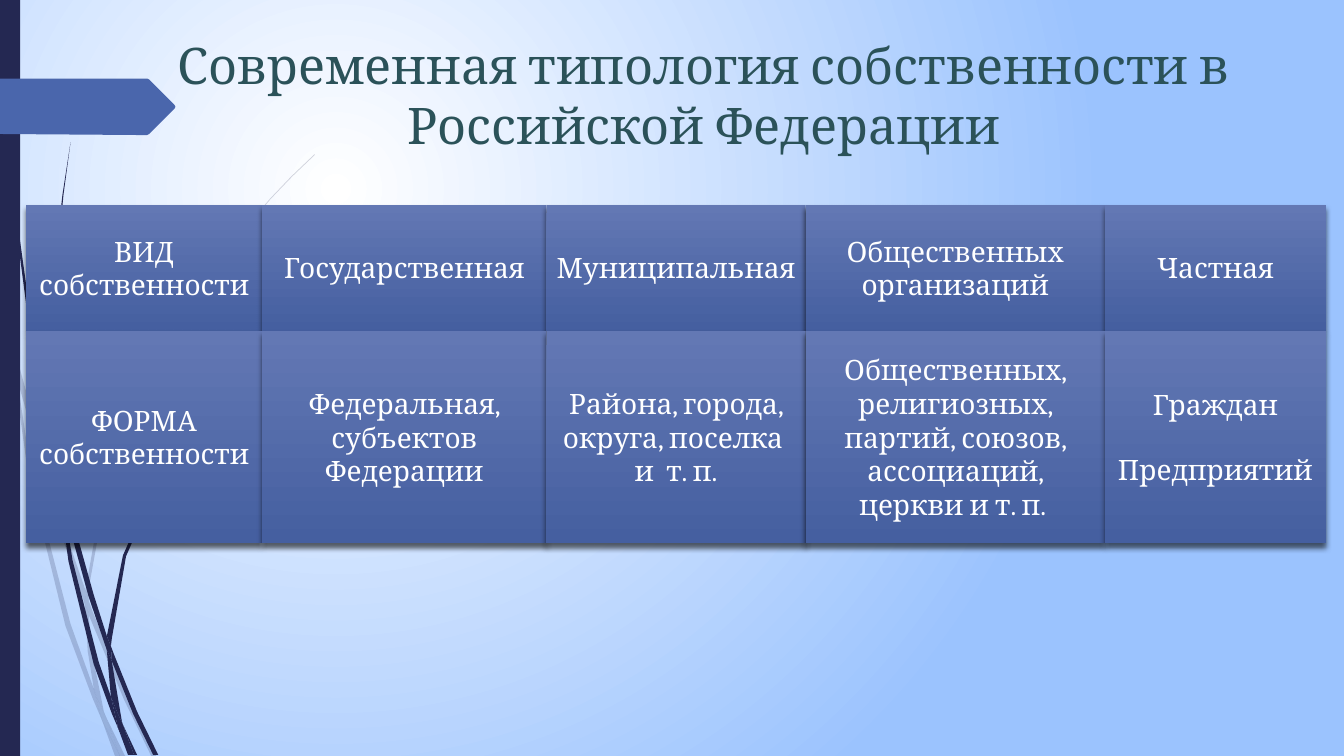
import itertools
from dataclasses import dataclass

import pptx
import pptx.dml.color
import pptx.enum.shapes
import pptx.enum.text
import pptx.oxml
import pptx.oxml.ns
import pptx.util

Inches = pptx.util.Inches
Pt = pptx.util.Pt
RGB = pptx.dml.color.RGBColor.from_string
qn = pptx.oxml.ns.qn
NS = pptx.oxml.ns.nsdecls("a")


@dataclass(frozen=True)
class Theme:
    font: str = "Cambria"
    navy: str = "242852"
    blue: str = "4A66AC"
    teal: str = "2B5259"
    white: str = "FFFFFF"
    sky: str = "9BC3FE"
    light: str = "6378B4"
    deep: str = "455FA0"
    head: int = 36
    body: int = 20
    gap: int = 22


@dataclass(frozen=True)
class Strand:
    coords: tuple[float, ...]


@dataclass(frozen=True)
class Row:
    top: float
    height: float
    cells: tuple[tuple[str, ...], ...]
    gaps: tuple[int, ...]


T = Theme()

FAINT = (
    Strand((.11, 3.5, .09, 3.22, 0, 2.82, 0, 2.99, .1, 3.44)),
    Strand((.58, 5.22, .84, 5.99, .85, 5.86, .62, 5.2, .14, 3.45, .17, 3.76)),
    Strand((.92, 6.07, .88, 5.96, .88, 6.1, 1.23, 6.94, 1.5, 7.5, 1.55, 7.5, 1.27, 6.92)),
    Strand((1.19, 7.5, 1.24, 7.5, 1.05, 7.11)),
    Strand((.93, 6.83, .7, 6.19, .31, 4.69, .17, 3.76, .11, 3.5, .28, 4.7, .65, 6.21,
            .92, 6.93, 1.01, 7.14, .99, 7.07)),
    Strand((.84, 5.99, .87, 6.46, .93, 6.83, .96, 6.92, 1.05, 7.11, 1.03, 7.06, .91, 6.46,
            .88, 6.1, .88, 6.08)),
    Strand((.88, 5.84, 1.1, 4.62, 1.6, 3.49, 2.29, 2.45, 2.68, 1.98, 2.9, 1.75, 3.12, 1.54,
            3.12, 1.53, 2.89, 1.75, 2.68, 1.97, 2.28, 2.44, 1.58, 3.48, 1.07, 4.61,
            .85, 5.84, .85, 5.86, .88, 5.96)),
    Strand((1.01, 7.14, 1.14, 7.5, 1.19, 7.5)),
    Strand((.88, 6.08, .88, 5.96, .85, 5.86, .84, 5.99)),
    Strand((.96, 6.92, .93, 6.83, .99, 7.07, 1.01, 7.14, 1.19, 7.5, 1.05, 7.11)),
)
DARK = (
    Strand((.07, 1.1, .17, 2.33, .33, 3.55, .56, 4.77, .57, 4.81, .55, 4.57, .55, 4.53,
            .36, 3.55, .19, 2.32, .08, 1.09, .05, .48, .04, 0, .03, 0, .04, .48)),
    Strand((.88, 5.92, 1.06, 6.45, 1.06, 6.31, .93, 5.9, .6, 4.72, .64, 5.05)),
    Strand((1.13, 6.49, 1.1, 6.41, 1.11, 6.56, 1.32, 7.08, 1.52, 7.49, 1.57, 7.49, 1.36, 7.06)),
    Strand((1.1, 6.91, .98, 6.57, .72, 5.56, .64, 5.05, .57, 4.77, .68, 5.57, .93, 6.59,
            1.11, 7.08, 1.17, 7.22, 1.16, 7.17)),
    Strand((.6, 4.72, .58, 4.53, .54, 3.49, .58, 2.45, .63, 1.93, .7, 1.41, .62, 1.93,
            .56, 2.45, .52, 3.49, .55, 4.49)),
    Strand((1.33, 7.49, 1.36, 7.49, 1.22, 7.19)),
    Strand((.57, 4.77, .64, 5.05, .6, 4.72, .55, 4.49, .55, 4.53)),
    Strand((1.11, 6.33, 1.25, 5.52, 1.58, 4.76, 2.05, 4.06, 2.31, 3.74, 2.45, 3.59,
            2.61, 3.44, 2.6, 3.44, 2.45, 3.58, 2.31, 3.73, 2.04, 4.05, 1.56, 4.74,
            1.22, 5.51, 1.06, 6.31, 1.1, 6.41)),
    Strand((1.17, 7.22, 1.27, 7.49, 1.31, 7.49)),
    Strand((1.06, 6.45, 1.1, 6.91, 1.16, 7.06, 1.22, 7.19, 1.21, 7.16, 1.11, 6.56, 1.09, 6.51)),
    Strand((1.06, 6.45, 1.09, 6.51, 1.11, 6.56, 1.1, 6.41, 1.06, 6.31)),
    Strand((1.16, 7.06, 1.1, 6.91, 1.16, 7.17, 1.17, 7.22, 1.3, 7.49, 1.33, 7.49, 1.22, 7.19)),
)
ARROW = Strand((1.73, 1.08, 1.48, 1.33, 1.46, 1.34, 1.36, 1.34, 0, 1.33, 0, .78, 1.36, .78,
                1.46, .78, 1.48, .79, 1.73, 1.04, 1.74, 1.06))

EDGES = (.26, 2.6, 5.42, 7.99, 10.96, 13.15)
ROWS = (
    Row(2.03, 1.25, (("ВИД собственности",), ("Государственная",), ("Муниципальная",),
                     ("Общественных организаций",), ("Частная",)), (0,) * 5),
    Row(3.28, 2.11, (("ФОРМА собственности",), ("Федеральная, субъектов Федерации",),
                     ("Района, города, округа, поселка ", "и  т. п."),
                     ("Общественных, религиозных, партий, союзов, ассоциаций, церкви и т. п. ",),
                     ("Граждан", "Предприятий")), (0, 0, 0, 0, T.gap)),
)


def paint(shape, tone: str, alpha: int = 100) -> None:
    shape.fill.solid()
    shape.fill.fore_color.rgb = RGB(tone)
    shape.line.fill.background()
    shape.shadow.inherit = False
    if alpha < 100:
        tag = shape._element.spPr.find(".//" + qn("a:srgbClr"))
        tag.append(pptx.oxml.parse_xml(f'<a:alpha {NS} val="{alpha * 1000}"/>'))


def blend(fill, first: str, last: str) -> None:
    fill.gradient()
    for stop, tone in zip(fill.gradient_stops, (first, last)):
        stop.color.rgb = RGB(tone)


def trace(shapes, strand: Strand, tone: str, alpha: int = 100) -> None:
    flat = [Inches(value) for value in strand.coords]
    points = list(zip(flat[::2], flat[1::2]))
    pen = shapes.build_freeform(*points[0], scale=1.0)
    pen.add_line_segments(points[1:], close=True)
    paint(pen.convert_to_shape(), tone, alpha)


def write(frame, lines: tuple[str, ...], size: int, tone: str, gap: int = 0) -> None:
    frame.word_wrap = True
    frame.vertical_anchor = pptx.enum.text.MSO_ANCHOR.MIDDLE
    for index, line in enumerate(lines):
        para = frame.add_paragraph() if index else frame.paragraphs[0]
        para.alignment = pptx.enum.text.PP_ALIGN.CENTER
        para.space_before = Pt(gap if index else 0)
        run = para.add_run()
        run.text = line
        run.font.name = T.font
        run.font.size = Pt(size)
        run.font.color.rgb = RGB(tone)


def block(shapes, left: float, top: float, width: float, height: float):
    kind = pptx.enum.shapes.MSO_SHAPE.RECTANGLE
    return shapes.add_shape(kind, Inches(left), Inches(top), Inches(width), Inches(height))


def cell(shapes, left: float, right: float, row: Row, lines: tuple[str, ...], gap: int) -> None:
    shape = block(shapes, left, row.top, right - left, row.height)
    blend(shape.fill, T.light, T.deep)
    shape.fill.gradient_angle = 270
    shape.line.fill.background()
    shape.shadow.inherit = False
    shape._element.spPr.find(qn("a:effectLst")).append(pptx.oxml.parse_xml(
        f'<a:outerShdw {NS} blurRad="{Pt(4)}" dist="{Pt(3)}" dir="5400000" rotWithShape="0">'
        '<a:srgbClr val="000000"><a:alpha val="60000"/></a:srgbClr></a:outerShdw>'))
    frame = shape.text_frame
    frame.margin_left = frame.margin_right = Inches(.08)
    write(frame, lines, T.body, T.white, gap)


def main() -> None:
    deck = pptx.Presentation()
    deck.slide_width, deck.slide_height = Inches(13.33), Inches(7.5)
    slide = deck.slides.add_slide(deck.slide_layouts[6])
    shapes = slide.shapes

    blend(slide.background.fill, T.white, T.sky)
    grad = slide._element.find(".//" + qn("a:gradFill"))
    grad.remove(grad.find(qn("a:lin")))
    grad.append(pptx.oxml.parse_xml(
        f'<a:path {NS} path="circle"><a:fillToRect l="50000" t="50000" r="100000" b="100000"/>'
        '</a:path>'))

    for strands, alpha in ((FAINT, 20), (DARK, 100)):
        group = shapes.add_group_shape()
        for strand in strands:
            trace(group.shapes, strand, T.navy, alpha)
    paint(block(shapes, 0, 0, .2, 7.5), T.navy)
    trace(shapes, ARROW, T.blue)

    title = shapes.add_textbox(Inches(1.2), Inches(.23), Inches(11.56), Inches(1.41))
    write(title.text_frame, ("Современная типология собственности в Российской Федерации",),
          T.head, T.teal)

    for row in ROWS:
        for (left, right), lines, gap in zip(itertools.pairwise(EDGES), row.cells, row.gaps):
            cell(shapes, left, right, row, lines, gap)

    deck.save("out.pptx")


main()
